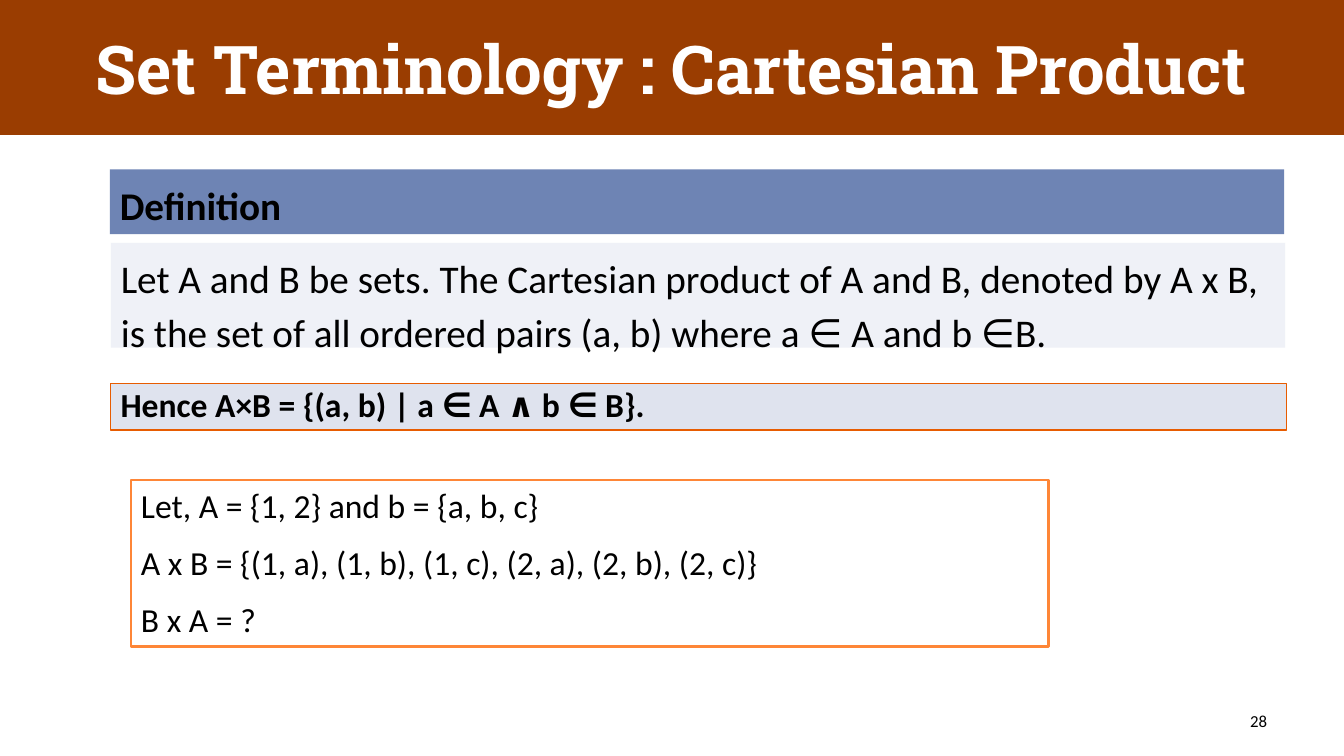
from pptx import Presentation
from pptx import util as u
from pptx.dml.color import RGBColor
from pptx.enum import shapes, text

THEME = dict(
    title_font="Roboto Slab", body_font="Calibri",
    title=48, definition=28, example=24, number=12,
    white="FFFFFF", black="000000", banner="9A3D01", heading="6E84B4",
    pale="EFF1F7", formula="DFE3EE", rust="E75C01", orange="FE8637",
)
T = THEME
W, H = 960, 540

PANELS = [
    dict(lines=["Set Terminology : Cartesian Product"], box=(0, 0, W, 96.4),
         fill="banner", size="title", font="title_font", color="white",
         bold=True, align="CENTER", anchor="MIDDLE"),
    dict(lines=["Definition"], box=(78.5, 121, 838.8, 46.2),
         fill="heading", size="definition", bold=True, spacing=1.14),
    dict(lines=["Let A and B be sets. The Cartesian product of A and B, denoted by "
                "A x B, is the set of all ordered pairs (a, b) where a ∈ A and b ∈B."],
         box=(79.2, 173.5, 838.8, 74.9),
         fill="pale", size="definition", spacing=1.14),
    dict(lines=["Hence A×B = {(a, b) | a ∈ A ∧ b ∈ B}."], box=(79, 273.8, 840, 33.4),
         fill="formula", line="rust", weight=0.75, size="example", bold=True, spacing=0.9),
    dict(lines=["Let, A = {1, 2} and b = {a, b, c}",
                "A x B = {(1, a), (1, b), (1, c), (2, a), (2, b), (2, c)}",
                "B x A = ?"],
         box=(93.6, 342.9, 655.2, 118.8),
         fill="white", line="orange", weight=2, size="example", align="JUSTIFY", gap=6),
    dict(lines=["28"], box=(688.3, 500.4, 223.9, 28.8), size="number",
         align="RIGHT", anchor="MIDDLE"),
]


def rgb(name):
    return RGBColor.from_string(T[name])


def add_text(s, lines, box, fill=None, line=None, weight=1, size="example",
             font="body_font", color="black", bold=False, align="LEFT",
             anchor="TOP", spacing=1.0, gap=0):
    place = [u.Pt(v) for v in box]
    if fill:
        sp = s.shapes.add_shape(shapes.MSO_SHAPE.RECTANGLE, *place)
        sp.shadow.inherit = False
        sp.fill.solid()
        sp.fill.fore_color.rgb = rgb(fill)
        if line:
            sp.line.color.rgb = rgb(line)
            sp.line.width = u.Pt(weight)
        else:
            sp.line.fill.background()
    else:
        sp = s.shapes.add_textbox(*place)
    tf = sp.text_frame
    tf.word_wrap = True
    tf.vertical_anchor = text.MSO_ANCHOR[anchor]
    for i, content in enumerate(lines):
        p = tf.paragraphs[0] if i == 0 else tf.add_paragraph()
        p.alignment = text.PP_ALIGN[align]
        p.line_spacing = spacing
        p.space_before = u.Pt(gap if i else 0)
        p.space_after = u.Pt(gap)
        r = p.add_run()
        r.text = content
        r.font.name = T[font]
        r.font.size = u.Pt(T[size])
        r.font.bold = bold
        r.font.color.rgb = rgb(color)


def main():
    prs = Presentation()
    prs.slide_width, prs.slide_height = u.Pt(W), u.Pt(H)
    s = prs.slides.add_slide(prs.slide_layouts[6])
    for panel in PANELS:
        add_text(s, **panel)
    prs.save("out.pptx")


if __name__ == "__main__":
    main()
